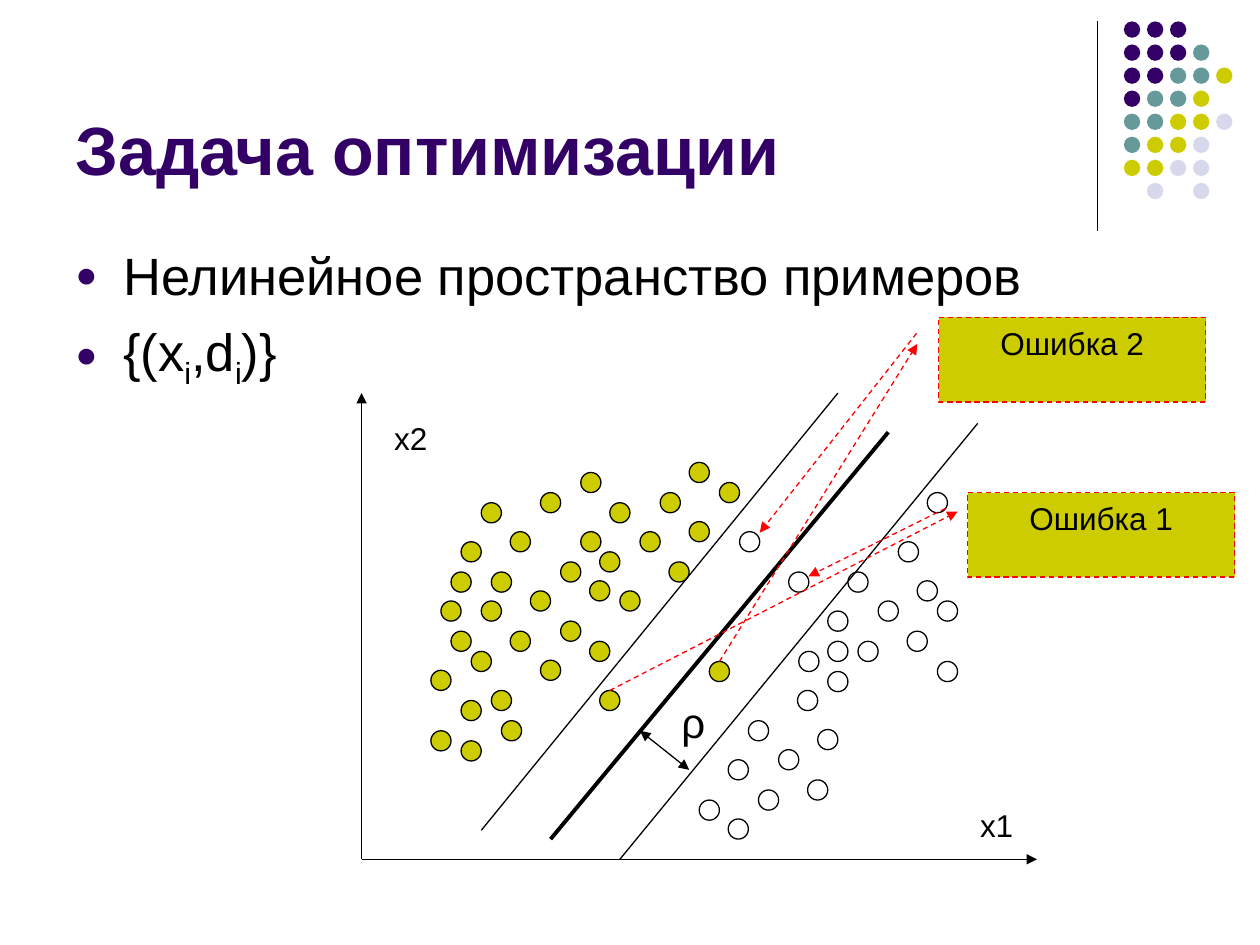
"""Build the slide "Задача оптимизации": two point classes, a separating line with its margin, and errors."""
from lxml import etree
from pptx import Presentation
from pptx.dml.color import RGBColor
from pptx.enum.dml import MSO_LINE
from pptx.enum.shapes import MSO_CONNECTOR, MSO_SHAPE
from pptx.enum.text import MSO_ANCHOR, PP_ALIGN
from pptx.oxml.ns import qn
from pptx.util import Inches, Pt

STRAIGHT = MSO_CONNECTOR.STRAIGHT
ELLIPSE = MSO_SHAPE.OVAL
CALLOUT = MSO_SHAPE.LINE_CALLOUT_1
DASH = MSO_LINE.DASH
TOP, BOTTOM = MSO_ANCHOR.TOP, MSO_ANCHOR.BOTTOM
LEFT, CENTER = PP_ALIGN.LEFT, PP_ALIGN.CENTER

THEME = {
    "font": "Arial",
    "purple": "330066", "teal": "669999", "olive": "CCCC00", "lilac": "D8D8EC",
    "black": "000000", "red": "FF0000",
    "title": 39, "body": 30, "margin": 24, "label": 18,
    "thin": 0.75, "thick": 2.25,
}

TITLE = "Задача оптимизации"
SUBSCRIPT = "-25000"
BULLETS = [
    [("Нелинейное пространство примеров", None)],
    [("{(x", None), ("i", SUBSCRIPT), (",d", None), ("i", SUBSCRIPT), (")}", None)],
]

DECORATION = ["PPP", "PPPT", "PPTTO", "PTTO", "TTOOL", "TOOL", "OOLL", " L L"]
DECORATION_COLOURS = {"P": "purple", "T": "teal", "O": "olive", "L": "lilac"}
DECORATION_LEFT, DECORATION_TOP, DECORATION_STEP, DECORATION_SIZE = 8.92, 0.17, 0.183, 0.13

POINT_SIZE = 0.16
FILLED_POINTS = [
    (4.61, 3.75), (4.84, 3.99), (5.08, 4.22), (5.31, 4.46), (5.71, 3.83), (4.68, 5.09),
    (4.92, 4.69), (5.47, 3.67), (5.47, 4.14), (4.76, 4.38), (5.24, 3.91), (4.61, 4.22),
    (3.58, 4.54), (3.82, 4.77), (4.05, 5.01), (4.29, 5.24), (4.68, 4.61), (3.66, 5.88),
    (3.9, 5.48), (4.45, 4.46), (4.45, 4.93), (3.74, 5.17), (4.21, 4.69), (3.58, 5.01),
    (3.42, 5.32), (3.66, 5.56), (3.66, 4.3), (3.9, 4.54), (4.29, 3.91), (4.76, 5.48),
    (3.5, 4.77), (5.63, 5.25), (4.05, 4.22), (3.98, 5.72), (3.82, 3.99), (3.42, 5.8),
]
HOLLOW_POINTS = [
    (7.44, 5.25), (7.2, 5.01), (6.97, 4.77), (6.73, 4.54), (6.34, 5.17), (7.36, 3.91),
    (7.13, 4.3), (6.57, 5.33), (6.57, 4.85), (7.28, 4.61), (6.81, 5.09), (7.44, 4.77),
    (6.26, 4.54), (6.41, 6.19), (6.18, 5.95), (5.94, 5.72), (5.55, 6.35), (6.57, 5.09),
    (6.33, 5.48), (5.78, 6.5), (5.78, 6.03), (6.49, 5.79), (6.02, 6.27), (5.87, 4.22),
]

ORIGIN = (2.87, 6.82)
PLOT_LINES = [
    (ORIGIN, (2.87, 3.12), "thin", ["tailEnd"]),
    (ORIGIN, (8.23, 6.82), "thin", ["tailEnd"]),
    ((4.37, 6.66), (7.05, 3.43), "thick", []),
    ((3.82, 6.59), (6.65, 3.12), "thin", []),
    ((4.92, 6.82), (7.76, 3.36), "thin", []),
    ((5.08, 5.8), (5.47, 6.11), "thin", ["headEnd", "tailEnd"]),
]
LABELS = [
    ("ρ", (5.31, 5.48, 0.39, 0.5), "margin"),
    ("x2", (3.03, 3.28, 0.63, 0.4), "label"),
    ("x1", (7.68, 6.35, 0.94, 0.4), "label"),
]
ERRORS = [
    ("Ошибка 2", (7.45, 2.52), (0.188, -0.083, 2.549, -0.67), (5.71, 5.25), (7.28, 2.73)),
    ("Ошибка 1", (7.68, 3.91), (0.188, -0.083, 0.992, -0.596), (4.84, 5.48), (7.6, 4.06)),
]
CALLOUT_SIZE = (2.12, 0.67)


def colour(name):
    return RGBColor.from_string(THEME[name])


def style_line(shape, line_colour="black", width="thin", arrows=(), dash=None):
    line = shape.line
    line.color.rgb = colour(line_colour)
    line.width = Pt(THEME[width])
    if dash:
        line.dash_style = dash
    for end in arrows:
        etree.SubElement(line._get_or_add_ln(), qn(f"a:{end}"), type="triangle")


def add_line(slide, start, end, **style):
    connector = slide.shapes.add_connector(STRAIGHT, *map(Inches, start + end))
    style_line(connector, **style)
    etree.SubElement(connector._element.spPr, qn("a:effectLst"))


def add_filled_shape(slide, kind, box, fill):
    shape = slide.shapes.add_shape(kind, *map(Inches, box))
    shape.shadow.inherit = False
    if fill:
        shape.fill.solid()
        shape.fill.fore_color.rgb = colour(fill)
    else:
        shape.fill.background()
    return shape


def style_paragraph(paragraph, size, text_colour="black", bold=False, align=LEFT):
    paragraph.alignment = align
    font = paragraph.font
    font.name = THEME["font"]
    font.size = Pt(THEME[size])
    font.bold = bold
    font.color.rgb = colour(text_colour)


def add_text_box(slide, box):
    frame = slide.shapes.add_textbox(*map(Inches, box)).text_frame
    frame.word_wrap = True
    return frame


def add_decoration(slide):
    add_line(slide, (8.71, 0.17), (8.71, 1.83))
    for row, pattern in enumerate(DECORATION):
        for column, key in enumerate(pattern):
            if key != " ":
                left = DECORATION_LEFT + column * DECORATION_STEP
                top = DECORATION_TOP + row * DECORATION_STEP
                box = (left, top, DECORATION_SIZE, DECORATION_SIZE)
                dot = add_filled_shape(slide, ELLIPSE, box, DECORATION_COLOURS[key])
                dot.line.fill.background()


def add_title(slide):
    title = slide.shapes.title
    title.left, title.top, title.width, title.height = map(Inches, (0.5, 0.13, 8.25, 1.42))
    title.text_frame.text = TITLE
    title.text_frame.vertical_anchor = BOTTOM
    style_paragraph(title.text_frame.paragraphs[0], "title", "purple", bold=True)


def add_bullets(slide):
    frame = add_text_box(slide, (0.5, 1.88, 9, 4.82))
    for index, runs in enumerate(BULLETS):
        paragraph = frame.add_paragraph() if index else frame.paragraphs[0]
        for text, baseline in runs:
            run = paragraph.add_run()
            run.text = text
            if baseline:
                run._r.get_or_add_rPr().set("baseline", baseline)
        paragraph.space_before = Pt(7.5)
        properties = paragraph._p.get_or_add_pPr()
        properties.set("marL", str(Inches(0.38)))
        properties.set("indent", str(-Inches(0.38)))
        bullet_colour = etree.SubElement(properties, qn("a:buClr"))
        etree.SubElement(bullet_colour, qn("a:srgbClr"), val=THEME["purple"])
        etree.SubElement(properties, qn("a:buSzPct"), val="70000")
        etree.SubElement(properties, qn("a:buFont"), typeface=THEME["font"])
        etree.SubElement(properties, qn("a:buChar"), char="●")
        style_paragraph(paragraph, "body")


def add_plot(slide):
    for points, fill in ((FILLED_POINTS, "olive"), (HOLLOW_POINTS, None)):
        for point in points:
            style_line(add_filled_shape(slide, ELLIPSE, point + (POINT_SIZE, POINT_SIZE), fill))
    for start, end, width, arrows in PLOT_LINES:
        add_line(slide, start, end, width=width, arrows=arrows)
    for text, box, size in LABELS:
        frame = add_text_box(slide, box)
        frame.text = text
        style_paragraph(frame.paragraphs[0], size)


def add_errors(slide):
    style = {"line_colour": "red", "arrows": ["tailEnd"], "dash": DASH}
    for text, corner, adjustments, start, end in ERRORS:
        callout = add_filled_shape(slide, CALLOUT, corner + CALLOUT_SIZE, "olive")
        for index, value in enumerate(adjustments):
            callout.adjustments[index] = value
        style_line(callout, **style)
        callout.text_frame.text = text
        callout.text_frame.vertical_anchor = TOP
        style_paragraph(callout.text_frame.paragraphs[0], "label", align=CENTER)
        add_line(slide, start, end, **style)


def main():
    presentation = Presentation()
    presentation.slide_width, presentation.slide_height = Inches(10), Inches(7.5)
    slide = presentation.slides.add_slide(presentation.slide_layouts[5])
    add_decoration(slide)
    add_title(slide)
    add_bullets(slide)
    add_plot(slide)
    add_errors(slide)
    presentation.save("out.pptx")


if __name__ == "__main__":
    main()
